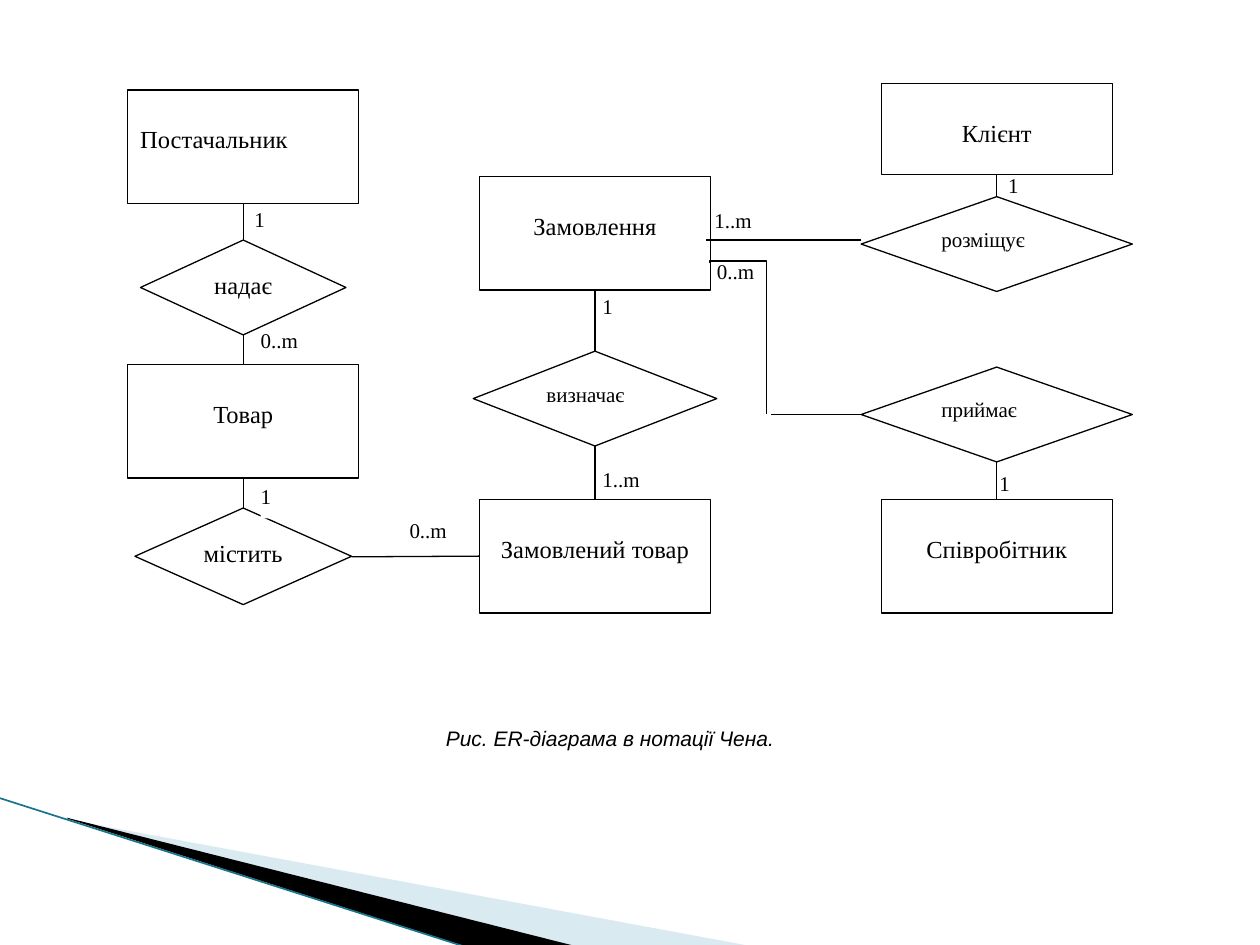
from lxml.etree import SubElement
from pptx import Presentation
from pptx.dml.color import RGBColor
from pptx.enum.shapes import MSO_CONNECTOR, MSO_SHAPE
from pptx.enum.text import MSO_ANCHOR, MSO_AUTO_SIZE, PP_ALIGN
from pptx.oxml.ns import qn
from pptx.util import Pt


def color(code):
    return RGBColor.from_string(code)


def write(shape, text, size, align, font="Times New Roman", italic=False):
    paragraph = shape.text_frame.paragraphs[0]
    paragraph.alignment = align
    run = paragraph.add_run()
    run.text = text
    run.font.name = font
    run.font.size = Pt(size)
    run.font.italic = italic
    run.font.color.rgb = color("000000")


LEFT, CENTER = PP_ALIGN.LEFT, PP_ALIGN.CENTER
SUPPLY, ORDER, CLIENT = 139, 340, 569.6

presentation = Presentation()
presentation.slide_width, presentation.slide_height = Pt(720), Pt(540)
slide = presentation.slides.add_slide(presentation.slide_layouts[6])
shapes = slide.shapes

wedges = [
    ("A0CBDC", 40, [(39.6, 468.5), (428.4, 540.5), (328.3, 540.5), (39.6, 468)]),
    ("000000", 100, [(38.2, 467.3), (329, 540.7), (267.8, 541.4), (38.9, 468)]),
]
for fill, opacity, corners in wedges:
    start, *others = [(Pt(x), Pt(y)) for x, y in corners]
    outline = shapes.build_freeform(*start)
    outline.add_line_segments(others, close=True)
    wedge = outline.convert_to_shape()
    wedge.shadow.inherit = False
    wedge.fill.solid()
    wedge.fill.fore_color.rgb = color(fill)
    wedge.line.fill.background()
    if opacity < 100:
        tint = wedge._element.spPr.find(qn("a:solidFill"))[0]
        SubElement(tint, qn("a:alpha")).set("val", str(opacity * 1000))

entities = [
    ("Постачальник", SUPPLY, 51.4, 64.8, LEFT),
    ("Товар", SUPPLY, 208.4, 64.8, CENTER),
    ("Замовлення", ORDER, 101, 64.8, CENTER),
    ("Замовлений товар", ORDER, 285.5, 64.8, CENTER),
    ("Клієнт", CLIENT, 47.7, 52, CENTER),
    ("Співробітник", CLIENT, 285.5, 64.8, CENTER),
]
relations = [
    ("надає", SUPPLY, 137.2, 117.4, 54.2, 14, CENTER, 7.2),
    ("визначає", ORDER, 200.7, 139.2, 54.2, 12, LEFT, 7.2),
    ("приймає", CLIENT, 209.8, 155, 54.2, 12, LEFT, 7.2),
    ("розміщує", CLIENT, 112.4, 155, 54.2, 12, LEFT, 7.2),
    ("містить", SUPPLY, 290.3, 123.8, 55.2, 14, CENTER, 0),
]
nodes = [
    (MSO_SHAPE.RECTANGLE, name, middle, top, 132, height, 14, align, 7.2, 19.7)
    for name, middle, top, height, align in entities
] + [(MSO_SHAPE.DIAMOND, *relation, 3.6) for relation in relations]
for kind, name, middle, top, width, height, size, align, side, inset in nodes:
    node = shapes.add_shape(kind, Pt(middle - width / 2), Pt(top), Pt(width), Pt(height))
    node.shadow.inherit = False
    node.fill.solid()
    node.fill.fore_color.rgb = color("FFFFFF")
    node.line.color.rgb = color("000000")
    node.line.width = Pt(0.75)
    frame = node.text_frame
    frame.word_wrap = True
    frame.vertical_anchor = MSO_ANCHOR.TOP
    frame.margin_left = frame.margin_right = Pt(side)
    frame.margin_top = Pt(inset)
    write(node, name, size, align)

STRAIGHT, ELBOW = MSO_CONNECTOR.STRAIGHT, MSO_CONNECTOR.ELBOW
links = [
    (STRAIGHT, -1, 455.8, 267, 541.4, "17748A", 0.95),
    (STRAIGHT, 201, 318.2, 274, 317.8, "000000", 0.75),
    (STRAIGHT, 492.2, 137.1, 403.4, 137.1, "000000", 0.75),
    (STRAIGHT, 492.2, 236.9, 440.6, 236.9, "000000", 0.75),
    (ELBOW, 465, 177, 378.6, 209.4, "000000", 0.75),
]
drops = [
    (SUPPLY, 116.2, 137.2), (SUPPLY, 191.4, 208.4), (SUPPLY, 273.2, 290.3),
    (ORDER, 165.8, 200.7), (ORDER, 254.9, 285.5),
    (CLIENT, 99.7, 112.4), (CLIENT, 264, 285.5),
]
links += [(STRAIGHT, x, top, x, bottom, "000000", 0.75) for x, top, bottom in drops]
for kind, x1, y1, x2, y2, stroke, weight in links:
    link = shapes.add_connector(kind, Pt(x1), Pt(y1), Pt(x2), Pt(y2))
    link.line.color.rgb = color(stroke)
    link.line.width = Pt(weight)
    properties = link._element.spPr
    SubElement(properties, qn("a:effectLst"))
    if kind == ELBOW:
        properties.find(qn("a:xfrm")).set("rot", "5400000")
        bend = SubElement(properties.find(qn("a:prstGeom")).find(qn("a:avLst")), qn("a:gd"))
        bend.set("name", "adj1")
        bend.set("fmla", "val 101000")

cardinalities = [
    ("1", 145.4, 118, 16.6, True),
    ("0..m", 149, 187.2, 32.4, True),
    ("1", 149, 276.5, 27.4, True),
    ("0..m", 234, 296, 34.6, True),
    ("1", 344.2, 167.8, 34.6, True),
    ("1..m", 344.2, 266.4, 34.6, False),
    ("1", 576, 98.6, 34.6, False),
    ("1..m", 408.2, 118.8, 34.6, False),
    ("0..m", 409.7, 147.6, 34.6, False),
    ("1", 571, 268.6, 34.6, False),
]
for amount, left, top, width, filled in cardinalities:
    cardinality = shapes.add_textbox(Pt(left), Pt(top), Pt(width), Pt(19.8))
    if filled:
        cardinality.fill.solid()
        cardinality.fill.fore_color.rgb = color("FFFFFF")
    frame = cardinality.text_frame
    frame.word_wrap = True
    frame.margin_left = frame.margin_right = frame.margin_top = frame.margin_bottom = 0
    write(cardinality, amount, 12, LEFT)

caption = shapes.add_textbox(Pt(211.7), Pt(411.1), Pt(243.4), Pt(21.6))
caption.text_frame.word_wrap = False
caption.text_frame.auto_size = MSO_AUTO_SIZE.SHAPE_TO_FIT_TEXT
caption.text_frame.vertical_anchor = MSO_ANCHOR.MIDDLE
write(caption, "Рис. ER-діаграма в нотації Чена.", 12, PP_ALIGN.JUSTIFY, "Arial", True)
caption.text_frame.paragraphs[0]._p.get_or_add_pPr().set("indent", str(Pt(36)))

presentation.save("out.pptx")
